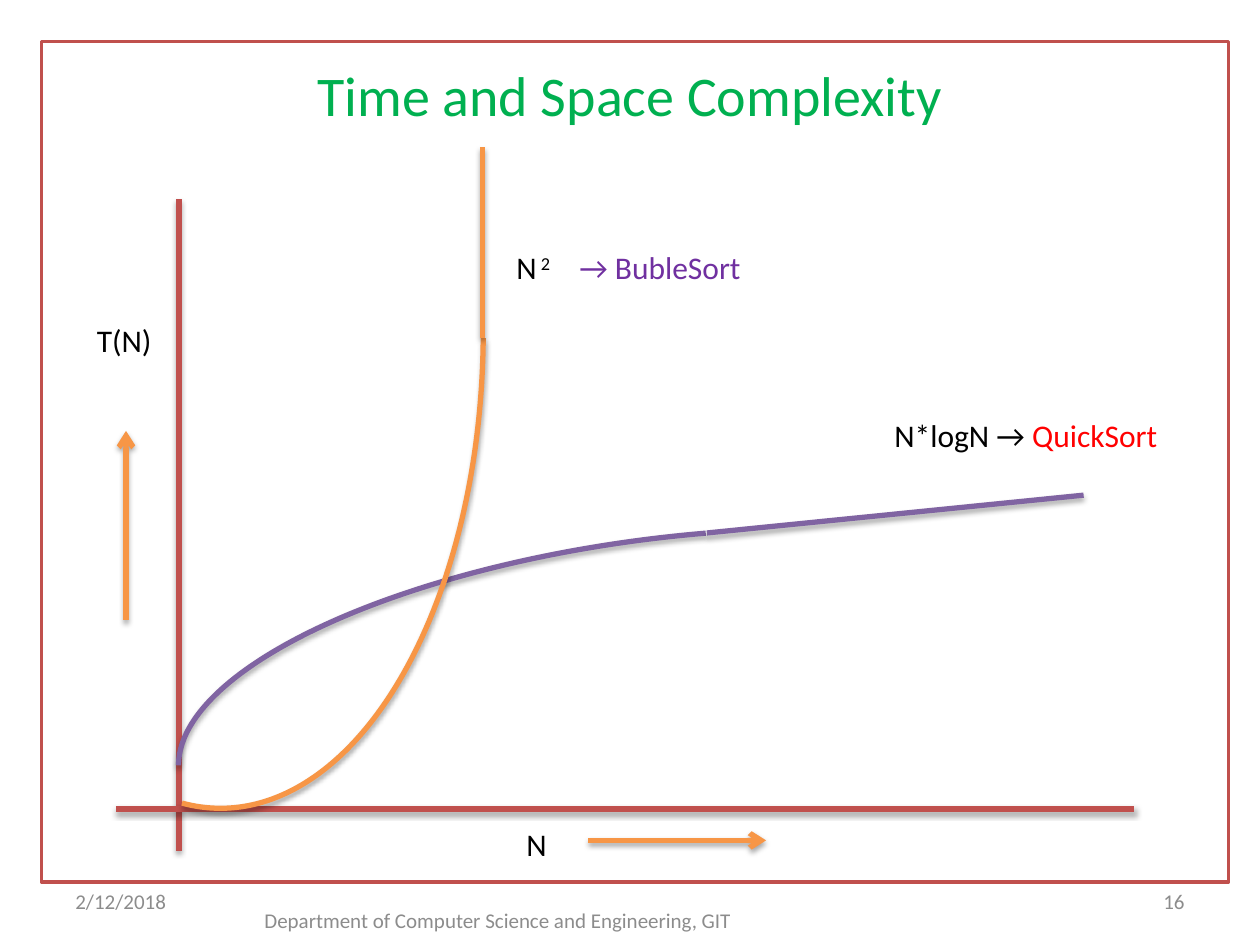
from lxml.etree import SubElement
from pptx import Presentation
from pptx.dml.color import RGBColor
from pptx.enum.shapes import MSO_CONNECTOR, MSO_SHAPE
from pptx.enum.text import MSO_ANCHOR, PP_ALIGN
from pptx.oxml.ns import qn
from pptx.util import Inches, Pt

RED, PURPLE, ORANGE = "C0504D", "8064A2", "F79646"
BLACK, GREY = "000000", "8C8C8C"


def color(code):
    return RGBColor.from_string(code)


def add_text(slide, box, runs, size=18, align=PP_ALIGN.LEFT, anchor=MSO_ANCHOR.TOP):
    """Each run is (text, colour) or (text, colour, baseline)."""
    frame = slide.shapes.add_textbox(*map(Inches, box)).text_frame
    frame.word_wrap = True
    frame.vertical_anchor = anchor
    par = frame.paragraphs[0]
    par.alignment = align
    for text, ink, *base in runs:
        run = par.add_run()
        run.text = text
        run.font.name = "Calibri"
        run.font.size = Pt(size)
        run.font.color.rgb = color(ink)
        if base:
            run.font._element.set("baseline", str(base[0]))


def style_stroke(shape, ink, arrow=False):
    """Thick line with a soft shadow below it."""
    shape.line.color.rgb = color(ink)
    shape.line.width = Pt(3)
    if arrow:
        SubElement(shape.line._get_or_add_ln(), qn("a:tailEnd"), type="arrow")
    effects = SubElement(shape._element.spPr, qn("a:effectLst"))
    shadow = SubElement(effects, qn("a:outerShdw"), blurRad=str(Pt(3.1)),
                        dist=str(Pt(1.8)), dir="5400000", rotWithShape="0")
    tint = SubElement(shadow, qn("a:srgbClr"), val=BLACK)
    SubElement(tint, qn("a:alpha"), val="35000")


def add_line(slide, start, end, ink, arrow=False):
    line = slide.shapes.add_connector(MSO_CONNECTOR.STRAIGHT,
                                      *map(Inches, (*start, *end)))
    style_stroke(line, ink, arrow)


def add_arc(slide, box, turn, angles, ink):
    arc = slide.shapes.add_shape(MSO_SHAPE.ARC, *map(Inches, box))
    arc.rotation = turn
    for i, angle in enumerate(angles):
        arc.adjustments[i] = angle * 0.6  # degrees to adjustment units
    arc.fill.background()
    style_stroke(arc, ink)


def add_frame(slide, box):
    frame = slide.shapes.add_shape(MSO_SHAPE.RECTANGLE, *map(Inches, box))
    frame.shadow.inherit = False
    frame.fill.solid()
    frame.fill.fore_color.rgb = color("FFFFFF")
    frame.line.color.rgb = color(RED)
    frame.line.width = Pt(2)


def add_title(slide, box):
    add_text(slide, box, [("Time and Space Complexity", "00B050")], 32,
             PP_ALIGN.CENTER, MSO_ANCHOR.MIDDLE)


def add_footer(slide, box):
    left, top, width, _ = box
    side, high = 2.33, 0.4
    parts = [
        (1.5, 0.15, 6.08, "Department of Computer Science and Engineering, GIT", PP_ALIGN.LEFT),
        (0, 0, side, "2/12/2018", PP_ALIGN.LEFT),
        (width - side, 0, side, "16", PP_ALIGN.RIGHT),
    ]
    for x, y, wide, text, align in parts:
        add_text(slide, (left + x, top + y, wide, high), [(text, GREY)], 12,
                 align, MSO_ANCHOR.MIDDLE)


def add_plot(slide, box):
    left, top, _, _ = box

    def at(x, y):
        return left + x, top + y

    # Axes
    add_line(slide, at(0.92, 0.58), at(0.92, 5.75), RED)
    add_line(slide, at(0.42, 5.42), at(8.5, 5.42), RED)

    # N*logN curve: arc, then straight end
    add_arc(slide, (*at(0.89, 3.27), 7.83, 2.75), 352.8, (180.9, 289.06), PURPLE)
    add_line(slide, at(5.11, 3.23), at(8.1, 2.93), PURPLE)

    # Axis directions
    add_line(slide, at(4.17, 5.67), at(5.58, 5.67), ORANGE, True)
    add_line(slide, at(0.5, 3.92), at(0.5, 2.42), ORANGE, True)

    # N squared curve: arc, then straight end
    add_arc(slide, (*at(-2.54, -0.46), 7.58, 4.17), 90, (271.63, 4.67), ORANGE)
    add_line(slide, at(3.33, 1.68), at(3.33, 0.17), ORANGE)

    # Labels
    labels = [
        (3.58, 5.5, 0.67, [("N", BLACK)]),
        (0.17, 1.5, 0.67, [("T(N)", BLACK)]),
        (6.5, 2.25, 3, [("N*logN → ", BLACK), ("QuickSort", "FF0000")]),
        (3.5, 0.92, 1.75, [("N", BLACK), (" 2", BLACK, 30000)]),
        (4, 0.92, 1.67, [("→ BubleSort", "7030A0")]),
    ]
    for x, y, wide, runs in labels:
        add_text(slide, (*at(x, y), wide, 0.4), runs)


def main():
    deck = Presentation()
    deck.slide_width, deck.slide_height = Inches(10), Inches(7.5)
    slide = deck.slides.add_slide(deck.slide_layouts[6])
    add_frame(slide, (0.33, 0.33, 9.42, 6.67))
    add_footer(slide, (0.5, 6.95, 9, 0.55))
    add_title(slide, (0.5, 0.25, 9, 1))
    add_plot(slide, (0.5, 1, 9.5, 6))
    deck.save("out.pptx")


if __name__ == "__main__":
    main()
